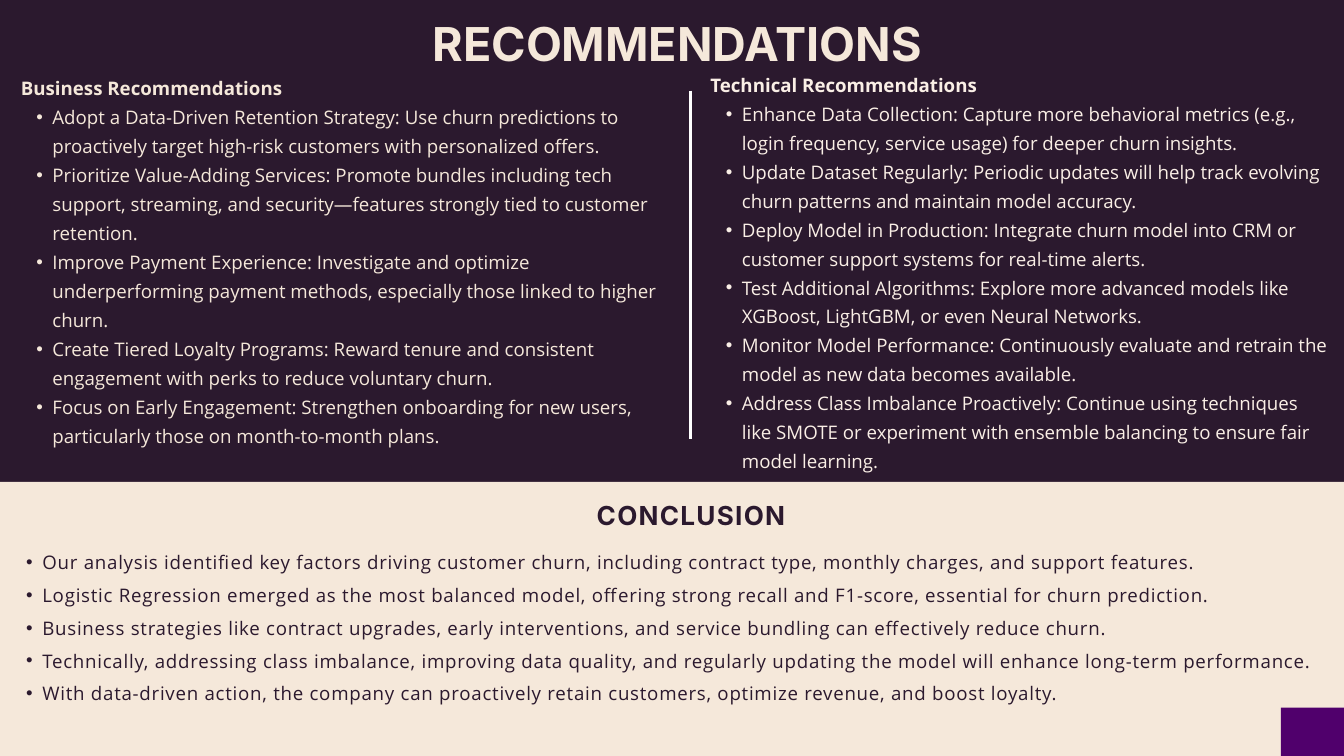
from lxml import etree
from pptx import Presentation
from pptx import util as u
from pptx.dml.color import RGBColor
from pptx.enum import shapes, text
from pptx.oxml.ns import qn

COLUMNS, ROWS = 20, 11.25
DARK, CREAM, PALE, PURPLE, WHITE = "2B192E", "F5E8DA", "FAEFE6", "50006C", "FFFFFF"
SPLIT = 7.17

TITLE = dict(name="Inter", size=50, bold=True, color=CREAM, leading=52.5, align="CENTER")
SUBTITLE = dict(name="Inter", size=28, bold=True, color=DARK, leading=39.2, tracking=1.4)
ITEM = dict(name="Open Sans", size=20, bold=False, color=CREAM, leading=31, bullet=True)
HEADING = ITEM | dict(bold=True, bullet=False)
CLOSING = ITEM | dict(color=DARK, leading=35.2, tracking=0.8, align="JUSTIFY")

BUSINESS = [
    "Adopt a Data-Driven Retention Strategy: Use churn predictions to proactively target high-risk customers with personalized offers.",
    "Prioritize Value-Adding Services: Promote bundles including tech support, streaming, and security—features strongly tied to customer retention.",
    "Improve Payment Experience: Investigate and optimize underperforming payment methods, especially those linked to higher churn.",
    "Create Tiered Loyalty Programs: Reward tenure and consistent engagement with perks to reduce voluntary churn.",
    "Focus on Early Engagement: Strengthen onboarding for new users, particularly those on month-to-month plans.",
]
TECHNICAL = [
    "Enhance Data Collection: Capture more behavioral metrics (e.g., login frequency, service usage) for deeper churn insights.",
    "Update Dataset Regularly: Periodic updates will help track evolving churn patterns and maintain model accuracy.",
    "Deploy Model in Production: Integrate churn model into CRM or customer support systems for real-time alerts.",
    "Test Additional Algorithms: Explore more advanced models like XGBoost, LightGBM, or even Neural Networks.",
    "Monitor Model Performance: Continuously evaluate and retrain the model as new data becomes available.",
    "Address Class Imbalance Proactively: Continue using techniques like SMOTE or experiment with ensemble balancing to ensure fair model learning.",
]
CONCLUSION = [
    "Our analysis identified key factors driving customer churn, including contract type, monthly charges, and support features.",
    "Logistic Regression emerged as the most balanced model, offering strong recall and F1-score, essential for churn prediction.",
    "Business strategies like contract upgrades, early interventions, and service bundling can effectively reduce churn.",
    "Technically, addressing class imbalance, improving data quality, and regularly updating the model will enhance long-term performance.",
    "With data-driven action, the company can proactively retain customers, optimize revenue, and boost loyalty.",
]


def rgb(value):
    """Turn a hex string into a colour."""
    return RGBColor.from_string(value)


class SlideBuilder:
    """Hold the grid and the current slide, and place each kind of element."""

    def __init__(self, deck, background):
        """Start a comparison slide on a one-inch grid."""
        self.cell = u.Inches(1)
        deck.slide_width, deck.slide_height = self.grid(COLUMNS, ROWS)
        self.page = deck.slides.add_slide(deck.slide_layouts[4])
        self.page.background.fill.solid()
        self.page.background.fill.fore_color.rgb = rgb(background)

    def grid(self, *cells):
        """Convert grid cells to slide lengths."""
        return [round(cell * self.cell) for cell in cells]

    def panel(self, left, top, color):
        """Fill from a grid point to the lower right corner, behind the text."""
        place = self.grid(left, top, COLUMNS - left, ROWS - top)
        box = self.page.shapes.add_shape(shapes.MSO_SHAPE.RECTANGLE, *place)
        box.shadow.inherit = False
        box.fill.solid()
        box.fill.fore_color.rgb = rgb(color)
        box.line.fill.background()
        box.element.getparent().insert(2, box.element)

    def divider(self, column, top, bottom, color, width):
        """Draw a vertical rule."""
        ends = self.grid(column, top, column, bottom)
        rule = self.page.shapes.add_connector(shapes.MSO_CONNECTOR.STRAIGHT, *ends)
        rule.line.color.rgb = rgb(color)
        rule.line.width = u.Pt(width)
        etree.SubElement(rule.element.spPr, qn("a:effectLst"))

    def words(self, index, place, lines):
        """Fill a placeholder with pairs of wording and style."""
        box = self.page.placeholders[index]
        for name, value in zip(("left", "top", "width", "height"), self.grid(*place)):
            setattr(box, name, value)
        frame = box.text_frame
        settings = dict(margin_left=0, margin_top=0, margin_right=0, margin_bottom=0,
                        word_wrap=True, auto_size=text.MSO_AUTO_SIZE.NONE,
                        vertical_anchor=text.MSO_ANCHOR.TOP)
        for name, value in settings.items():
            setattr(frame, name, value)
        for number, (wording, style) in enumerate(lines):
            para = frame.add_paragraph() if number else frame.paragraphs[0]
            self.paragraph(para, wording, style)

    def paragraph(self, para, wording, style):
        """Write one formatted paragraph."""
        bullet = style.get("bullet", False)
        properties = para._p.get_or_add_pPr()
        margin, indent = self.grid(0.47, -0.24) if bullet else (0, 0)
        properties.set("marL", str(margin))
        properties.set("indent", str(indent))
        mark = etree.SubElement(properties, qn("a:buChar" if bullet else "a:buNone"))
        if bullet:
            mark.set("char", "•")
        settings = dict(level=int(bullet), line_spacing=u.Pt(style["leading"]),
                        space_before=u.Pt(0), space_after=u.Pt(0),
                        alignment=text.PP_ALIGN[style.get("align", "LEFT")])
        for name, value in settings.items():
            setattr(para, name, value)
        span = para.add_run()
        span.text = wording
        for name, value in dict(name=style["name"], size=u.Pt(style["size"]), bold=style["bold"]).items():
            setattr(span.font, name, value)
        span.font.color.rgb = rgb(style["color"])
        if "tracking" in style:
            span.font._element.set("spc", str(round(style["tracking"] * 100)))


def styled(items, style):
    """Pair every item with one style."""
    return [(item, style) for item in items]


def main():
    """Build and save the slide."""
    deck = Presentation()
    slide = SlideBuilder(deck, DARK)
    slide.panel(19.06, 10.53, PURPLE)
    slide.panel(0, SPLIT, CREAM)
    slide.divider(10.27, 1.35, 6.54, WHITE, 3)
    slide.words(0, (0.16, 0.32, 19.84, 0.76), [("RECOMMENDATIONS", TITLE)])
    slide.words(2, (0.31, 1.05, 9.51, 5.53),
                [("Business Recommendations", HEADING)] + styled(BUSINESS, ITEM))
    slide.words(4, (10.57, 1, 9.21, 5.97),
                [("Technical Recommendations", HEADING | dict(color=PALE))]
                + styled(TECHNICAL, ITEM | dict(color=PALE)))
    slide.words(1, (8.88, 7.36, 4.01, 0.54), [("CONCLUSION", SUBTITLE)])
    slide.words(3, (0.16, 8.04, 19.47, 2.84), styled(CONCLUSION, CLOSING))
    deck.save("out.pptx")


if __name__ == "__main__":
    main()
